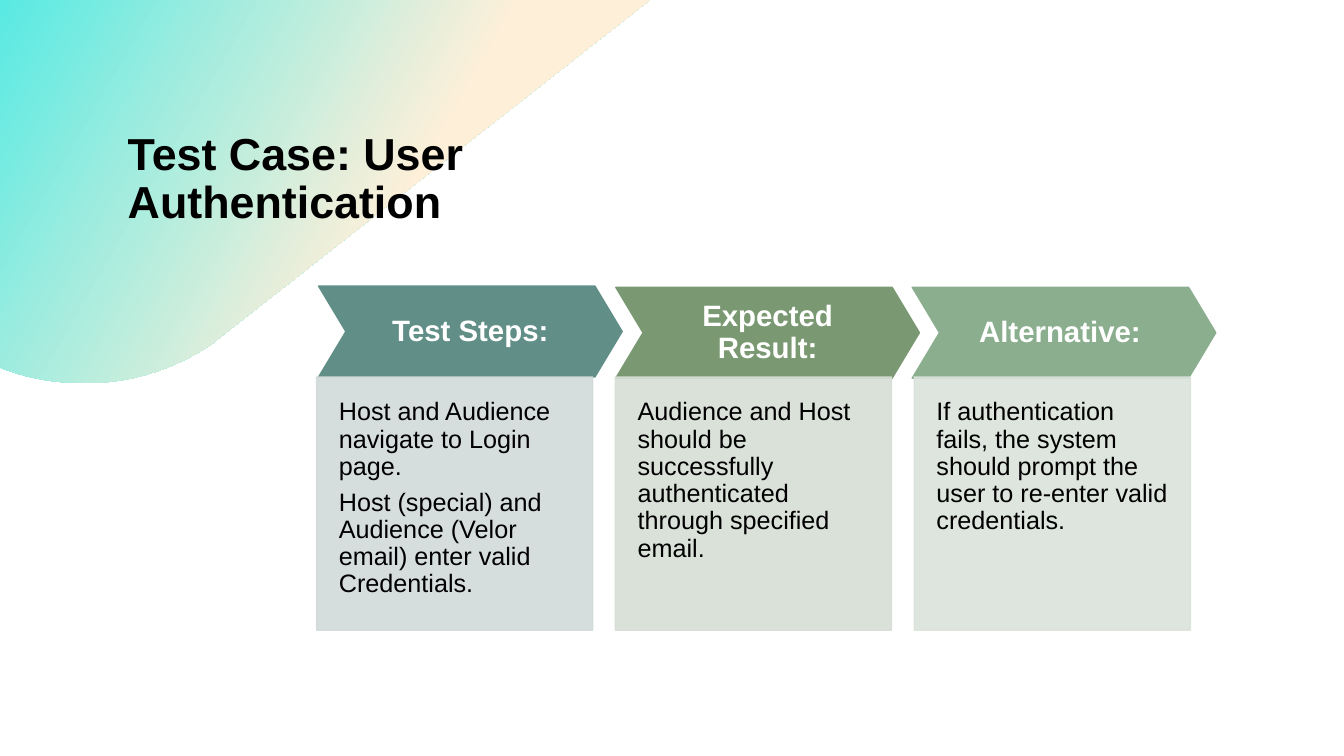
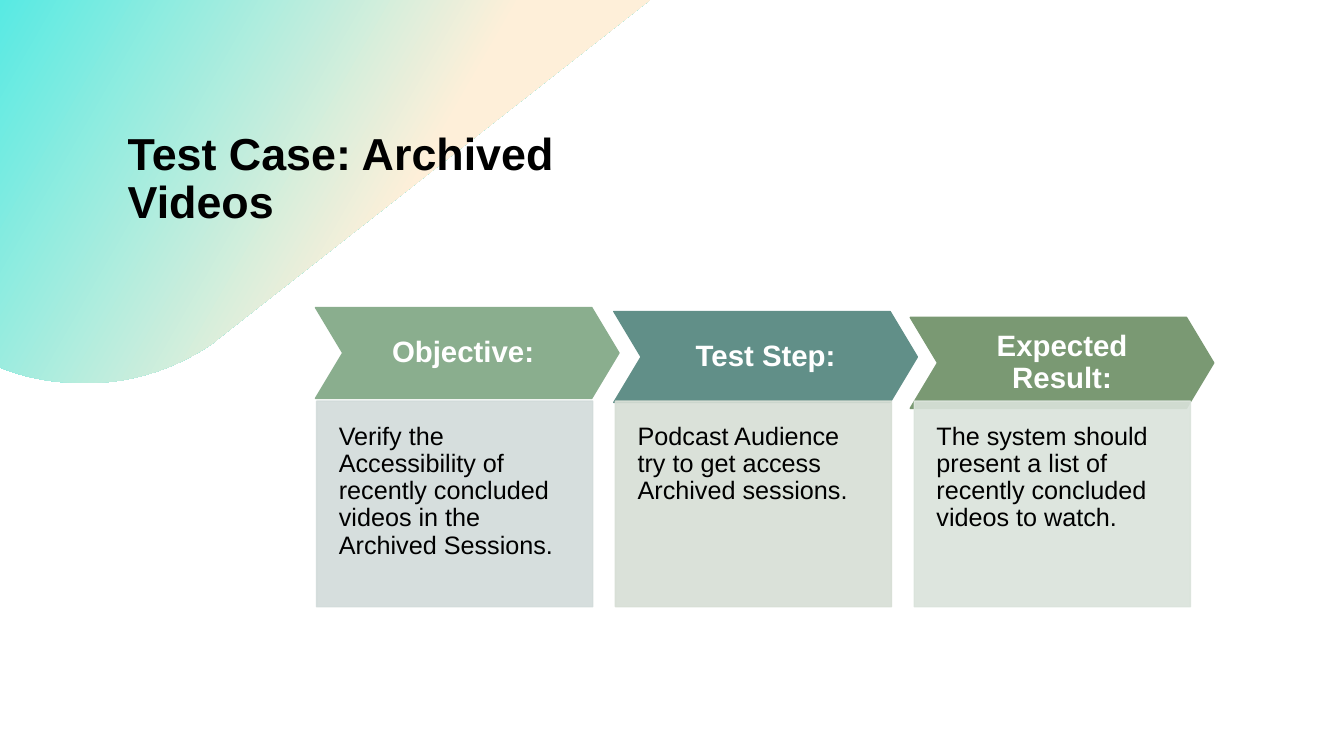
import lxml.etree
import pptx
import pptx.dml.color
import pptx.enum.dml
import pptx.enum.shapes
import pptx.enum.text
import pptx.oxml.ns
import pptx.util

Cm = pptx.util.Cm
SHAPE = pptx.enum.shapes.MSO_SHAPE
ALIGN = pptx.enum.text.PP_ALIGN
ANCHOR = pptx.enum.text.MSO_ANCHOR

FONT = "Arial"
COLOURS = {
    "text": "000000", "header text": "FFFFFF",
    "teal": "618F88", "olive": "7A9973", "sage": "8AAE8E",
    "cyan": "58EAE3", "cream": "FEEFD9",
}
CARD_COLOURS = ["D2DBDA", "D7DED5", "DAE3DB"]

# Column grid, in centimetres
GRID_LEFT, COLUMN_STEP, CARD_WIDTH = 7.98, 7.53, 6.96
CHEVRON_WIDTH, CHEVRON_HEIGHT = 7.65, 2.29

# Corner outline: cubic curves as start, two controls, end
CORNER_CURVES = [
    [(5.38, 8.64), (4.47, 9.27), (3.4, 9.63), (2.34, 9.65)],
    [(2.01, 9.65), (1.42, 9.65), (0.81, 9.55), (0.23, 9.35)],
]
CURVE_STEPS = 24
corner_points = [(16.38, 0), (5.51, 8.53)]
for curve in CORNER_CURVES:
    for step in range(CURVE_STEPS + 1):
        t = step / CURVE_STEPS
        weights = [(1 - t) ** 3, 3 * t * (1 - t) ** 2, 3 * t ** 2 * (1 - t), t ** 3]
        corner_points.append(tuple(
            sum(weight * point[axis] for weight, point in zip(weights, curve))
            for axis in (0, 1)))
corner_points.append((0, 9.26))

# Each column: heading, heading colour, chevron left and top, card paragraphs
SLIDES = [
    {"title": "Test Case: User Authentication", "card top": 9.5, "card height": 6.38,
     "columns": [
         ("Test Steps:", "teal", 8.03, 7.21,
          ["Host and Audience navigate to Login page.",
           "Host (special) and Audience (Velor email) enter valid Credentials."]),
         ("Expected Result:", "olive", 15.52, 7.24,
          ["Audience and Host should be successfully authenticated through specified email."]),
         ("Alternative: ", "sage", 22.99, 7.24,
          ["If authentication fails, the system should prompt the user to re-enter valid credentials."]),
     ]},
    {"title": "Test Case: Archived Videos", "card top": 10.11, "card height": 5.18,
     "columns": [
         ("Objective: ", "sage", 7.95, 7.75,
          ["Verify the Accessibility of recently concluded videos in the Archived Sessions."]),
         ("Test Step:", "teal", 15.47, 7.85,
          ["Podcast Audience try to get access Archived sessions."]),
         ("Expected Result:", "olive", 22.94, 8.0,
          ["The system should present a list of recently concluded videos to watch."]),
     ]},
]


def paint(shape, colour, opacity=100):
    """Give the shape one colour for fill and line, and no shadow."""
    shape.shadow.inherit = False
    shape.line.width = pptx.util.Pt(1)
    for fill in (shape.fill, shape.line.fill):
        fill.solid()
        fill.fore_color.rgb = pptx.dml.color.RGBColor.from_string(colour)
    if opacity < 100:
        for node in shape.element.spPr.iter(pptx.oxml.ns.qn("a:srgbClr")):
            alpha = lxml.etree.SubElement(node, pptx.oxml.ns.qn("a:alpha"))
            alpha.set("val", str(opacity * 1000))


def write(shape, paragraphs, size, colour, bold=False, align=ALIGN.LEFT,
          anchor=ANCHOR.TOP, insets=(0.25, 0.13, 0.25, 0.13), gap=0):
    """Fill the shape with paragraphs; insets are left, top, right, bottom."""
    frame = shape.text_frame
    frame.word_wrap = True
    frame.vertical_anchor = anchor
    frame.margin_left, frame.margin_top, frame.margin_right, frame.margin_bottom = map(Cm, insets)
    frame.text = "\n".join(paragraphs)
    for para in frame.paragraphs:
        para.alignment = align
        para.line_spacing = 0.9
        para.space_after = pptx.util.Pt(gap)
        para.font.name = FONT
        para.font.size = pptx.util.Pt(size)
        para.font.bold = bold
        para.font.color.rgb = pptx.dml.color.RGBColor.from_string(COLOURS[colour])


deck = pptx.Presentation()
deck.slide_width, deck.slide_height = Cm(33.87), Cm(19.05)

for content in SLIDES:
    page = deck.slides.add_slide(deck.slide_layouts[6])

    # Gradient corner
    builder = page.shapes.build_freeform(0, 0)
    builder.add_line_segments([(Cm(x), Cm(y)) for x, y in corner_points], close=True)
    corner = builder.convert_to_shape()
    corner.shadow.inherit = False
    corner.line.fill.background()
    corner.fill.gradient()
    corner.fill.gradient_angle = 330
    for stop, colour, position in zip(corner.fill.gradient_stops, ("cyan", "cream"), (0, 0.6)):
        stop.color.rgb = pptx.dml.color.RGBColor.from_string(COLOURS[colour])
        stop.position = position

    # Title
    title = page.shapes.add_textbox(Cm(2.97), Cm(3.18), Cm(13.97), Cm(2.95))
    write(title, [content["title"]], 32, "text", bold=True)

    # Chevron headings with a card below each
    for index, (heading, colour, left, top, paragraphs) in enumerate(content["columns"]):
        chevron = page.shapes.add_shape(
            SHAPE.CHEVRON, Cm(left), Cm(top), Cm(CHEVRON_WIDTH), Cm(CHEVRON_HEIGHT))
        chevron.adjustments[0] = 0.3
        paint(chevron, COLOURS[colour])
        write(chevron, [heading], 21, "header text", bold=True, align=ALIGN.CENTER,
              anchor=ANCHOR.MIDDLE, insets=(0.28,) * 4)

        card = page.shapes.add_shape(
            SHAPE.RECTANGLE, Cm(GRID_LEFT + index * COLUMN_STEP), Cm(content["card top"]),
            Cm(CARD_WIDTH), Cm(content["card height"]))
        paint(card, CARD_COLOURS[index], opacity=90)
        write(card, paragraphs, 18, "text", insets=(0.56, 0.56, 0.56, 1.09), gap=6)

deck.save("out.pptx")
